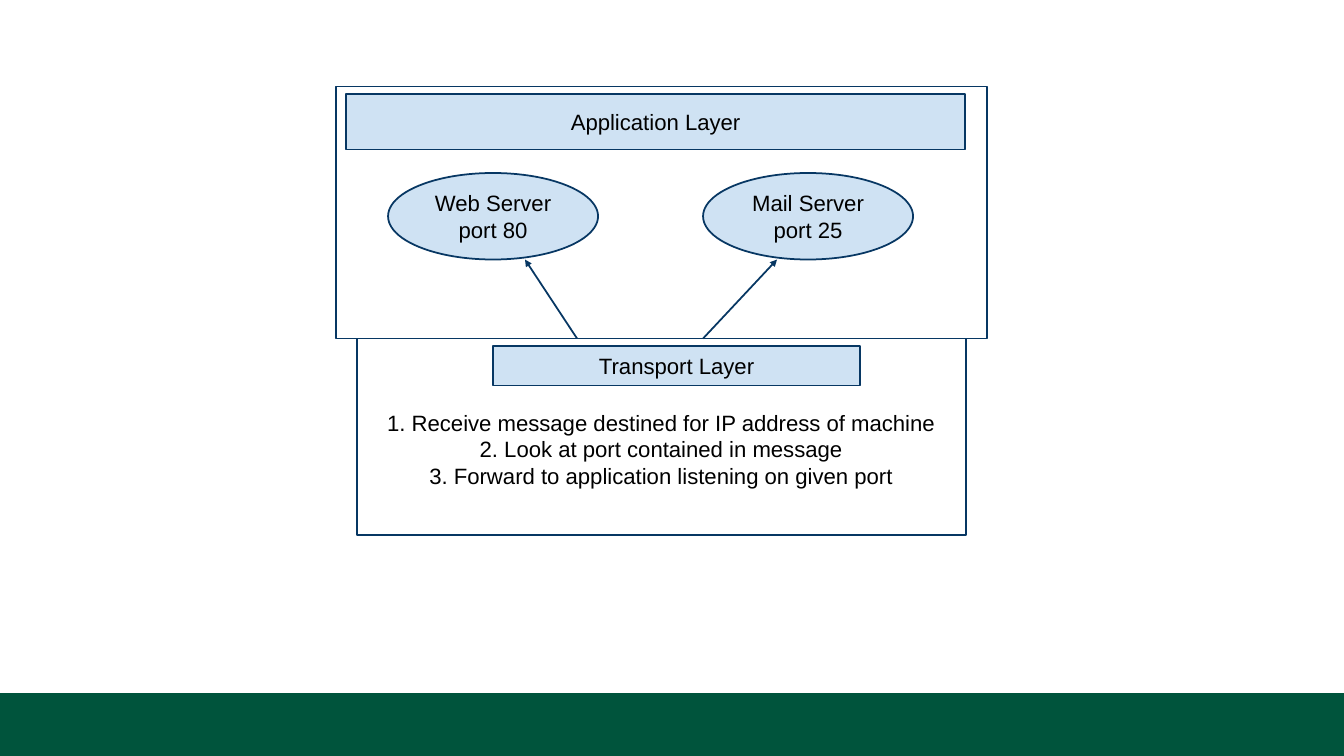
from dataclasses import dataclass
from typing import Optional

from lxml.etree import SubElement
from pptx import Presentation
from pptx.dml.color import RGBColor
from pptx.enum.shapes import MSO_CONNECTOR as Connector, MSO_SHAPE as Preset
from pptx.enum.text import MSO_ANCHOR as Anchor, PP_ALIGN as Align
from pptx.oxml.ns import qn
from pptx.util import Inches, Pt

COLORS = {"footer": "00543C", "panel": "CFE2F3", "outline": "073763", "text": "000000"}
FONT_NAME = "Arial"
FONT_SIZE = Pt(19)
LINE_WIDTH = Pt(1.5)
INSET = Inches(0.1)


@dataclass
class Block:
    left: float
    top: float
    width: float
    height: float
    text: str = ""
    fill: Optional[str] = "panel"
    outline: Optional[str] = "outline"
    preset: Preset = Preset.RECTANGLE


@dataclass
class Arrow:
    start: tuple[float, float]
    end: tuple[float, float]


def color(name: str) -> RGBColor:
    return RGBColor.from_string(COLORS[name])


def write_text(box, text: str) -> None:
    frame = box.text_frame
    frame.word_wrap = True
    frame.vertical_anchor = Anchor.MIDDLE
    frame.margin_left = frame.margin_right = INSET
    frame.margin_top = frame.margin_bottom = INSET
    paragraph = frame.paragraphs[0]
    paragraph.text = text
    paragraph.alignment = Align.CENTER
    paragraph.font.name = FONT_NAME
    paragraph.font.size = FONT_SIZE
    paragraph.font.color.rgb = color("text")


def draw_block(page, block: Block) -> None:
    bounds = map(Inches, (block.left, block.top, block.width, block.height))
    box = page.shapes.add_shape(block.preset, *bounds)
    box.shadow.inherit = False
    if block.fill:
        box.fill.solid()
        box.fill.fore_color.rgb = color(block.fill)
    else:
        box.fill.background()
    if block.outline:
        box.line.color.rgb = color(block.outline)
        box.line.width = LINE_WIDTH
    else:
        box.line.fill.background()
    if block.text:
        write_text(box, block.text)


def draw_arrow(page, arrow: Arrow) -> None:
    points = map(Inches, (*arrow.start, *arrow.end))
    line = page.shapes.add_connector(Connector.STRAIGHT, *points)
    line.line.color.rgb = color("outline")
    line.line.width = LINE_WIDTH
    properties = line._element.spPr
    SubElement(properties.find(qn("a:ln")), qn("a:tailEnd"), type="triangle")
    SubElement(properties, qn("a:effectLst"))


deck = Presentation()
deck.slide_width, deck.slide_height = Inches(16), Inches(9)
page = deck.slides.add_slide(deck.slide_layouts[6])

# Footer band
draw_block(page, Block(0, 8.25, 16, 0.75, fill="footer", outline=None))

# Application layer with its servers
draw_block(page, Block(4.12, 1.12, 7.37, 0.66, "Application Layer"))
draw_block(page, Block(4, 1.03, 7.75, 3, fill=None))
for index, server in enumerate(("Web Server\vport 80", "Mail Server\vport 25")):
    draw_block(page, Block(4.62 + 3.75 * index, 2.06, 2.5, 1.03, server, preset=Preset.OVAL))

# Transport layer
draw_block(page, Block(5.87, 4.12, 4.37, 0.47, "Transport Layer"))
draw_block(page, Block(4.25, 4.03, 7.25, 2.34, fill=None))

# Delivery steps
steps = (
    "1. Receive message destined for IP address of machine",
    "2. Look at port contained in message",
    "3. Forward to application listening on given port",
)
steps_box = page.shapes.add_textbox(Inches(4.37), Inches(4.69), Inches(7), Inches(1.31))
write_text(steps_box, "\v".join(steps))

# Arrows from the transport layer to the servers
for arrow in (Arrow((6.87, 4.03), (6.25, 3.09)), Arrow((8.37, 4.03), (9.25, 3.09))):
    draw_arrow(page, arrow)

deck.save("out.pptx")
